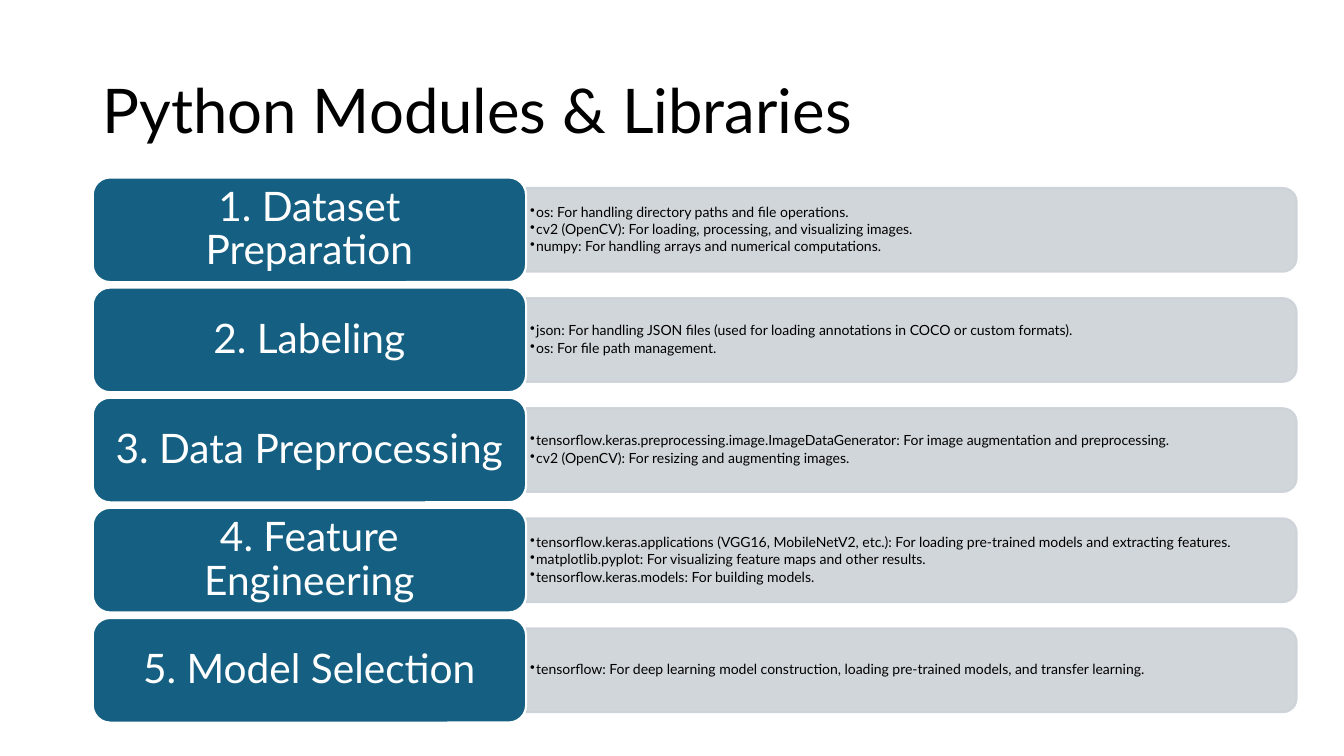
from dataclasses import dataclass

from lxml import etree
from pptx import Presentation
from pptx.dml.color import RGBColor
from pptx.enum.shapes import MSO_SHAPE
from pptx.enum.text import MSO_ANCHOR, PP_ALIGN
from pptx.oxml.ns import qn
from pptx.util import Inches, Pt

ROUNDED = MSO_SHAPE.ROUNDED_RECTANGLE
TOP_ROUNDED = MSO_SHAPE.ROUND_2_SAME_RECTANGLE
MIDDLE = MSO_ANCHOR.MIDDLE
LEFT, CENTER = PP_ALIGN.LEFT, PP_ALIGN.CENTER

STAGES = [
    ("1. Dataset Preparation", [
        "os: For handling directory paths and file operations.",
        "cv2 (OpenCV): For loading, processing, and visualizing images.",
        "numpy: For handling arrays and numerical computations.",
    ]),
    ("2. Labeling", [
        "json: For handling JSON files (used for loading annotations in COCO or custom formats).",
        "os: For file path management.",
    ]),
    ("3. Data Preprocessing", [
        "tensorflow.keras.preprocessing.image.ImageDataGenerator: For image augmentation and preprocessing.",
        "cv2 (OpenCV): For resizing and augmenting images.",
    ]),
    ("4. Feature Engineering", [
        "tensorflow.keras.applications (VGG16, MobileNetV2, etc.): For loading pre-trained models and extracting features.",
        "matplotlib.pyplot: For visualizing feature maps and other results.",
        "tensorflow.keras.models: For building models.",
    ]),
    ("5. Model Selection", [
        "tensorflow: For deep learning model construction, loading pre-trained models, and transfer learning.",
    ]),
]


@dataclass(frozen=True)
class Theme:
    """Colours, type sizes and grid measures of the deck."""
    font: str = "Lato"
    ink: str = "000000"
    paper: str = "FFFFFF"
    label: str = "156082"
    panel: str = "CCD2D8"
    panel_alpha: int = 90
    title_size: int = 44
    label_size: int = 29
    bullet_size: int = 10
    outline: float = 1.5
    left: float = 0.92
    top: float = 2.28
    column: float = 11.94 / 10
    row: float = 4.37 / 4


class StagePage:
    """Draws stage labels and bullet panels on a ten-column grid."""

    def __init__(self, page, theme):
        self.page = page
        self.theme = theme

    def place(self, column, row, columns, rows):
        """Return a frame in inches, centred vertically on a grid row."""
        theme = self.theme
        height = rows * theme.row
        return (theme.left + column * theme.column,
                theme.top + row * theme.row - height / 2,
                columns * theme.column, height)

    def shape(self, kind, frame, fill, line):
        """Add a filled preset shape."""
        box = self.page.shapes.add_shape(kind, *map(Inches, frame))
        box.shadow.inherit = False
        box.fill.solid()
        box.fill.fore_color.rgb = RGBColor.from_string(fill)
        box.line.color.rgb = RGBColor.from_string(line)
        box.line.width = Pt(self.theme.outline)
        return box

    def set_text(self, box, lines, size, color, align=LEFT, margins=(0.1, 0.05), after=0):
        """Fill a box with paragraphs of one style."""
        side, edge = map(Inches, margins)
        frame_format = {"word_wrap": True, "vertical_anchor": MIDDLE,
                        "margin_left": side, "margin_right": side,
                        "margin_top": edge, "margin_bottom": edge}
        para_format = {"alignment": align, "line_spacing": 0.9, "space_after": Pt(after)}
        font_format = {"name": self.theme.font, "size": Pt(size)}
        frame = box.text_frame
        for name, value in frame_format.items():
            setattr(frame, name, value)
        for index, line in enumerate(lines):
            para = frame.add_paragraph() if index else frame.paragraphs[0]
            for name, value in para_format.items():
                setattr(para, name, value)
            span = para.add_run()
            span.text = line
            for name, value in font_format.items():
                setattr(span.font, name, value)
            span.font.color.rgb = RGBColor.from_string(color)
        return frame.paragraphs

    def title(self, text):
        """Add the page title."""
        box = self.page.shapes.add_textbox(*map(Inches, (self.theme.left, 0.4, 11.5, 1.45)))
        self.set_text(box, [text], self.theme.title_size, self.theme.ink)

    def panel(self, row):
        """Add a translucent panel turned so its rounded end faces right."""
        theme = self.theme
        left, top, width, height = self.place(3.6, row, 6.4, 0.76)
        shift = (width - height) / 2
        box = self.shape(TOP_ROUNDED, (left + shift, top - shift, height, width),
                         theme.panel, theme.panel)
        box.rotation = 90
        for color in box._element.spPr.iter(qn("a:srgbClr")):
            etree.SubElement(color, qn("a:alpha"), val=str(theme.panel_alpha * 1000))

    def bullets(self, row, lines):
        """Add the bulleted text over a panel."""
        frame = self.place(3.6, row, 6.36, 0.69)
        box = self.page.shapes.add_textbox(*map(Inches, frame))
        size = self.theme.bullet_size
        indent = Inches(0.06)
        for para in self.set_text(box, lines, size, self.theme.ink,
                                  margins=(0.04, 0.02), after=size * 0.15):
            para.level = 1
            properties = para._p.get_or_add_pPr()
            properties.set("marL", str(indent))
            properties.set("indent", str(-indent))
            etree.SubElement(properties, qn("a:buChar"), char="•")

    def label(self, row, text):
        """Add the rounded stage label."""
        theme = self.theme
        box = self.shape(ROUNDED, self.place(0, row, 3.6, 0.95), theme.label, theme.paper)
        self.set_text(box, [text], theme.label_size, theme.paper, CENTER, (0.12, 0.06))


def main():
    """Build and save the deck."""
    deck = Presentation()
    deck.slide_width, deck.slide_height = Inches(13.33), Inches(7.5)
    page = StagePage(deck.slides.add_slide(deck.slide_layouts[6]), Theme())
    page.title("Python Modules & Libraries")
    for row, (name, libraries) in enumerate(STAGES):
        page.panel(row)
        page.bullets(row, libraries)
        page.label(row, name)
    deck.save("out.pptx")


if __name__ == "__main__":
    main()
